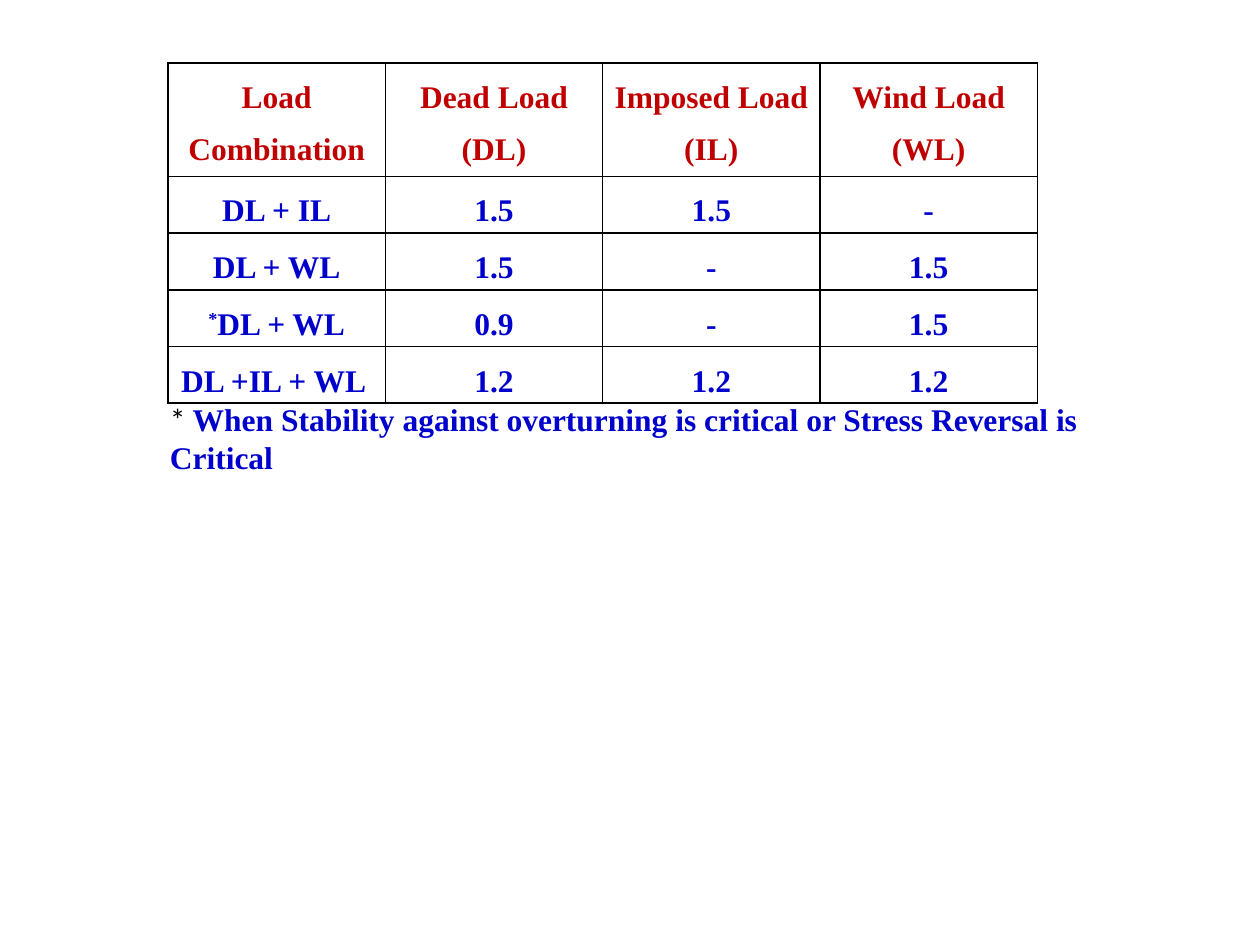
from dataclasses import dataclass

from lxml import etree
from pptx import Presentation
from pptx.dml.color import RGBColor
from pptx.enum.text import MSO_ANCHOR, MSO_AUTO_SIZE, PP_ALIGN
from pptx.oxml.ns import qn
from pptx.util import Inches, Pt

CENTER = PP_ALIGN.CENTER
TOP = MSO_ANCHOR.TOP
GROW = MSO_AUTO_SIZE.SHAPE_TO_FIT_TEXT
PAGE_WIDTH, PAGE_HEIGHT = Inches(10), Inches(7.5)


@dataclass(frozen=True)
class Theme:
    """Colours, fonts and sizes used on the slide."""
    heading: str = "C00000"
    body: str = "0000CC"
    mark: str = "000000"
    border: str = "000000"
    text_font: str = "Times New Roman"
    mark_font: str = "Calibri"
    size: Pt = Pt(18)
    border_width: Pt = Pt(1)
    line_spacing: float = 1.5


THEME = Theme()
FACTORS = [
    ["Load Combination", "Dead Load (DL)", "Imposed Load (IL)", "Wind Load (WL)"],
    ["DL + IL", "1.5", "1.5", "-"],
    ["DL + WL", "1.5", "-", "1.5"],
    ["*DL + WL", "0.9", "-", "1.5"],
    ["DL +IL + WL ", "1.2", "1.2", "1.2"],
]
FOOTNOTE = "When Stability against overturning is critical or Stress Reversal is Critical"


def apply_format(target, values):
    """Set each named attribute of the target."""
    for name, value in values.items():
        setattr(target, name, value)


def add_span(para, text, color, font=THEME.text_font, bold=True):
    """Append one formatted run and return it."""
    span = para.add_run()
    span.text = text
    apply_format(span.font, {"name": font, "size": THEME.size, "bold": bold})
    span.font.color.rgb = RGBColor.from_string(color)
    return span


def add_borders(cell):
    """Draw a solid line on all four sides of a cell."""
    properties = cell._tc.get_or_add_tcPr()
    for position, side in enumerate(("a:lnL", "a:lnR", "a:lnT", "a:lnB")):
        line = etree.Element(qn(side), w=str(THEME.border_width))
        fill = etree.SubElement(line, qn("a:solidFill"))
        etree.SubElement(fill, qn("a:srgbClr"), val=THEME.border)
        properties.insert(position, line)


def fill_cell(cell, text, color):
    """Write one centred cell, raising a leading asterisk."""
    apply_format(cell, {
        "margin_left": Inches(0.07), "margin_right": Inches(0.07),
        "margin_top": 0, "margin_bottom": 0, "vertical_anchor": TOP,
    })
    cell.fill.background()
    add_borders(cell)
    para = cell.text_frame.paragraphs[0]
    apply_format(para, {"alignment": CENTER, "line_spacing": THEME.line_spacing})
    if text.startswith("*"):
        mark = add_span(para, "*", color)
        mark._r.get_or_add_rPr().set("baseline", "30000")
        text = text[1:]
    add_span(para, text, color)


def add_factor_table(page, left, top, width, height):
    """Place the load factors, with a heading row twice as tall as the others."""
    rows, columns = len(FACTORS), len(FACTORS[0])
    table = page.shapes.add_table(rows, columns, left, top, width, height).table
    apply_format(table, {"first_row": False, "horz_banding": False})
    unit = height // (rows + 1)
    for index, entries in enumerate(FACTORS):
        table.rows[index].height = unit if index else 2 * unit
        color = THEME.body if index else THEME.heading
        for column, text in enumerate(entries):
            fill_cell(table.cell(index, column), text, color)


def add_footnote(page, left, top, width, height):
    """Place the note that explains the asterisk."""
    box = page.shapes.add_textbox(left, top, width, height)
    apply_format(box.text_frame, {"word_wrap": True, "auto_size": GROW})
    para = box.text_frame.paragraphs[0]
    add_span(para, "* ", THEME.mark, THEME.mark_font, False)
    add_span(para, FOOTNOTE, THEME.body)


def share(left, top, width, height):
    """Turn shares of the slide's size into a box."""
    return (int(left * PAGE_WIDTH), int(top * PAGE_HEIGHT),
            int(width * PAGE_WIDTH), int(height * PAGE_HEIGHT))


def main():
    """Build and save the deck."""
    deck = Presentation()
    apply_format(deck, {"slide_width": PAGE_WIDTH, "slide_height": PAGE_HEIGHT})
    page = deck.slides.add_slide(deck.slide_layouts[6])
    add_factor_table(page, *share(2 / 15, 1 / 15, 0.69, 0.36))
    add_footnote(page, *share(1 / 8, 5 / 12, 0.825, 0.095))
    deck.save("out.pptx")


if __name__ == "__main__":
    main()
